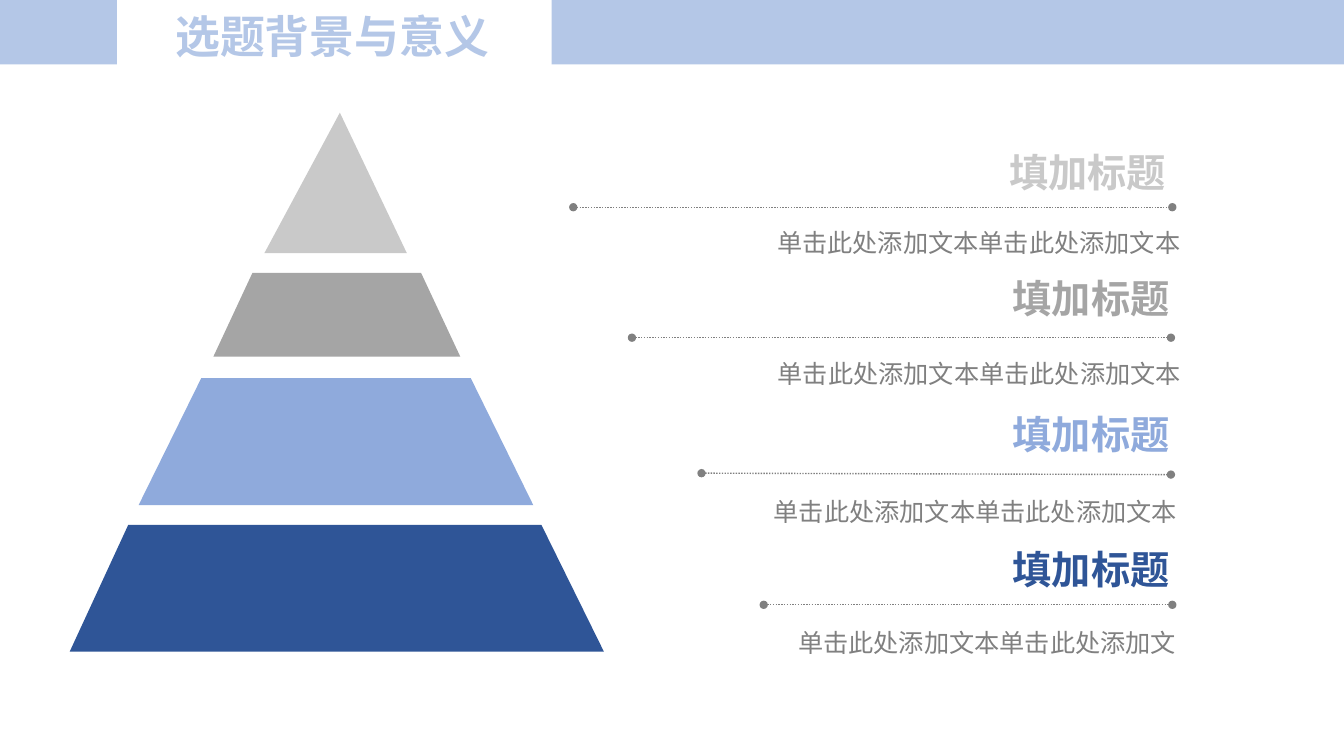
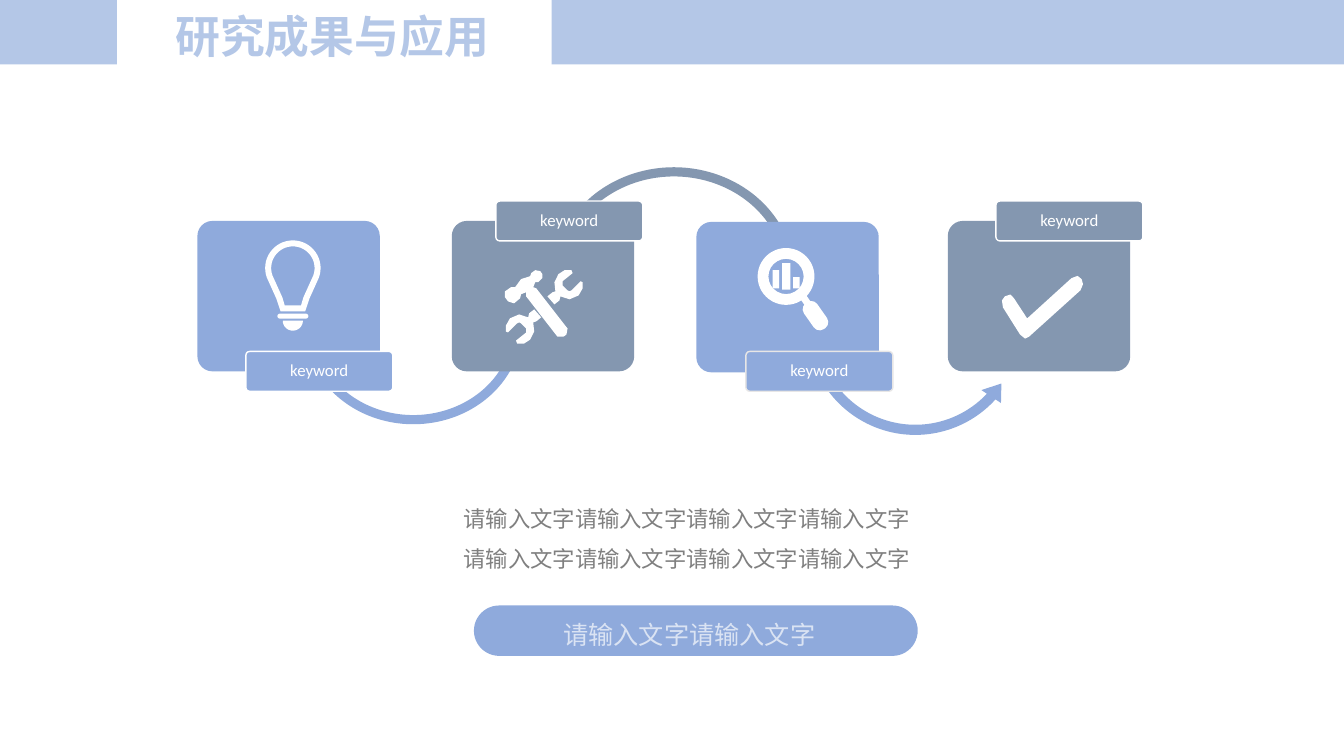
import math
from dataclasses import dataclass

from lxml import etree
from pptx import Presentation
from pptx import util as u
from pptx.dml.color import RGBColor
from pptx.enum import dml, shapes, text
from pptx.oxml import ns


@dataclass(frozen=True)
class Theme:
    # Colours
    band: str = "B4C7E7"
    sky: str = "8FAADC"
    navy: str = "2F5597"
    slate: str = "8497B0"
    silver: str = "C9C9C9"
    gray: str = "A5A5A5"
    body: str = "808080"
    pale: str = "DAE3F3"
    mist: str = "E7E6E6"
    white: str = "FFFFFF"
    # Type
    cjk: str = "Noto Sans CJK SC"
    latin: str = "Arial"
    tag_font: str = "Calibri"
    title_size: int = 32
    heading_size: int = 28
    body_size: int = 18
    note_size: int = 16
    tag_size: int = 12


THEME = Theme()
PRESET = shapes.MSO_SHAPE
CENTER = text.PP_ALIGN.CENTER
MIDDLE = text.MSO_ANCHOR.MIDDLE


def add_child(parent, tag, **attributes):
    return etree.SubElement(parent, ns.qn(tag), **attributes)


# Text
def write(box, lines, size, color, font=THEME.cjk, bold=False, spacing=1.0,
          align=text.PP_ALIGN.LEFT, anchor=text.MSO_ANCHOR.TOP):
    frame = box.text_frame
    frame.text = "\n".join(lines)
    frame.word_wrap = True
    frame.auto_size = text.MSO_AUTO_SIZE.NONE
    frame.vertical_anchor = anchor
    for para in frame.paragraphs:
        para.alignment = align
        para.line_spacing = spacing
        para.space_before = u.Pt(0)
        for span in para.runs:
            span.font.size = u.Pt(size)
            span.font.bold = bold
            span.font.color.rgb = RGBColor.from_string(color)
            span.font.name = font
    for properties in box.element.iter(ns.qn("a:rPr")):
        add_child(properties, "a:ea", typeface=font)


def add_text(page, area, lines, size, color, **style):
    box = page.shapes.add_textbox(*map(u.Pt, area))
    write(box, lines, size, color, **style)


# Shapes
def paint(shape, fill, line=None):
    shape.shadow.inherit = False
    shape.fill.solid()
    shape.fill.fore_color.rgb = RGBColor.from_string(fill)
    if line:
        shape.line.color.rgb = RGBColor.from_string(line)
        shape.line.width = u.Pt(1)
    else:
        shape.line.fill.background()


def add_preset(page, kind, area, fill, line=None, adjust=(), turn=0, flip=False):
    shape = page.shapes.add_shape(kind, *map(u.Pt, area))
    for index, value in enumerate(adjust):
        shape.adjustments[index] = value
    shape.rotation = turn
    if flip:
        shape.element.spPr.find(ns.qn("a:xfrm")).set("flipV", "1")
    paint(shape, fill, line)
    return shape


def add_outline(page, fill, *contours):
    contours = [[(u.Pt(x), u.Pt(y)) for x, y in points] for points in contours]
    builder = page.shapes.build_freeform(*contours[0][0])
    for index, points in enumerate(contours):
        if index:
            builder.move_to(*points[0])
        builder.add_line_segments(points[1:], close=True)
    paint(builder.convert_to_shape(), fill)


def add_dotted_line(page, start, end):
    line = page.shapes.add_connector(shapes.MSO_CONNECTOR.STRAIGHT,
                                     *map(u.Pt, (*start, *end)))
    line.line.color.rgb = RGBColor.from_string(THEME.body)
    line.line.width = u.Pt(1)
    line.line.dash_style = dml.MSO_LINE.ROUND_DOT
    stroke = line.element.spPr.find(ns.qn("a:ln"))
    for tag in ("a:headEnd", "a:tailEnd"):
        add_child(stroke, tag, type="oval")
    add_child(line.element.spPr, "a:effectLst")


def arc(center, radius, first, last, steps=32):
    angles = (math.radians(first + (last - first) * i / steps) for i in range(steps + 1))
    return [(center[0] + radius * math.cos(a), center[1] + radius * math.sin(a))
            for a in angles]


# Shared frame: bands on the layout, title on the page
def add_bands(page, layout):
    for index, (left, width) in enumerate([(0, 83.5), (394, 566)]):
        band = add_preset(page, PRESET.RECTANGLE, (left, 0, width, 46), THEME.band)
        band.element.nvSpPr.cNvPr.set("id", str(20 + index))
        layout.shapes.element.append(band.element)


def add_page(deck, layout, heading):
    page = deck.slides.add_slide(layout)
    title = page.shapes.title
    title.left, title.top, title.width, title.height = map(u.Pt, (81.4, 5, 311.8, 46))
    write(title, [heading], THEME.title_size, THEME.band, bold=True, spacing=0.9,
          align=CENTER, anchor=MIDDLE)
    return page


# Pyramid page
def add_pyramid(page):
    add_preset(page, PRESET.ISOSCELES_TRIANGLE, (188.9, 80.5, 101.7, 100.3),
               THEME.silver, adjust=[0.53])
    # Each tier: top, bottom, upper left and right, lower left and right
    tiers = [
        (195, 254.8, 180.3, 300.8, 152.4, 328.8, THEME.gray),
        (270, 360.8, 143.8, 336.2, 99, 380.9, THEME.sky),
        (375, 465.5, 91.6, 386.8, 49.8, 431.4, THEME.navy),
    ]
    for top, bottom, upper_left, upper_right, lower_left, lower_right, color in tiers:
        add_outline(page, color, [(upper_left, top), (upper_right, top),
                                  (lower_right, bottom), (lower_left, bottom)])


def add_entry(page, color, heading_at, body_area, body, start, end):
    add_dotted_line(page, start, end)
    add_text(page, (*heading_at, 139, 41), ["填加标题"], THEME.heading_size, color,
             bold=True)
    add_text(page, (*body_area, 36), [body], THEME.body_size, THEME.body, spacing=1.5)


def fill_pyramid_page(page):
    add_pyramid(page)
    body = "单击此处添加文本单击此处添加文本"
    entries = [
        (THEME.silver, (714, 102.2), (548, 148.3, 317), body, (409.5, 148), (837.4, 148)),
        (THEME.gray, (716.4, 192.5), (548.4, 241.5, 367), body, (451.4, 241.2), (836.4, 241.2)),
        (THEME.sky, (716.4, 289.3), (545.5, 340.5, 325), body, (501.1, 338), (836.4, 339)),
        (THEME.navy, (716.4, 386.2), (563, 433.5, 290), body[:-1], (545.5, 432), (837.4, 432)),
    ]
    for entry in entries:
        add_entry(page, *entry)


# Process page: icons
def add_bulb(page):
    center, white = (209.2, 191.5), THEME.white
    middle = center[0]
    glass = []
    for radius, half, neck in [(19.8, [(11.9, 213.1), (8.8, 222.4)], 160),
                               (15.5, [(7.5, 212.4), (5.8, 218.2)], 160)]:
        right = [(middle + dx, y) for dx, y in half]
        left = [(middle - dx, y) for dx, y in reversed(half)]
        glass.append(arc(center, radius, neck - 360, 180 - neck) + right + left)
    add_outline(page, white, *glass)
    add_preset(page, PRESET.ROUNDED_RECTANGLE, (middle - 11.1, 224, 22.2, 3.6), white,
               adjust=[0.5])
    add_outline(page, white, arc((middle, 229), 7.2, 0, 180))


def add_tools(page):
    wrench = [(416.2, 201.6), (414.7, 200.9), (408.2, 207.4), (406.8, 208.1),
              (405.4, 207.4), (401.8, 203.8), (401.8, 200.9), (409, 195.1),
              (408.2, 193), (403.2, 193), (398.9, 195.8), (396, 201.6),
              (396.7, 208.1), (394.6, 208.8), (391, 211.7), (396, 217.4),
              (399.6, 214.6), (400.3, 211.7), (406.8, 213.8), (413.3, 211),
              (416.2, 205.9)]
    hammer = [(383, 205.9), (380.9, 205.2), (382.3, 201.6), (384.5, 201.6),
              (387.4, 198.7), (387.4, 195.8), (385.9, 193.7), (382.3, 193),
              (379.4, 195.1), (378.7, 197.3), (372.2, 199.4), (367.9, 205.2),
              (365, 205.2), (360.7, 208.1), (360.7, 212.4), (362.9, 215.3),
              (367.2, 216.7), (371.5, 213.1), (372.2, 210.2), (375.8, 208.8),
              (375.8, 211.7), (398.2, 240.5), (402.5, 240.5), (404.6, 239),
              (405.4, 234.7)]
    pivot = (388.8, 219.2)
    opposite = [(2 * pivot[0] - x, 2 * pivot[1] - y) for x, y in wrench]
    for outline in (wrench, opposite, hammer):
        add_outline(page, THEME.white, outline)


def add_magnifier(page):
    add_preset(page, PRESET.DONUT, (541.2, 177.2, 40.6, 40.6), THEME.white, adjust=[0.19])
    for left, top, width, height in [(552, 193, 4.6, 13), (558.7, 187.9, 5.8, 19),
                                     (566.6, 198, 4.6, 8)]:
        add_preset(page, PRESET.RECTANGLE, (left, top, width, height), THEME.white)
    add_preset(page, PRESET.RECTANGLE, (571, 213, 10, 5), THEME.white, turn=55)
    add_preset(page, PRESET.ROUNDED_RECTANGLE, (571.2, 219.7, 22.6, 11.6), THEME.white,
               adjust=[0.45], turn=55)


def add_check(page):
    add_outline(page, THEME.white, [
        (728.6, 239), (716.4, 219.6), (715.7, 214.6), (717.8, 211.7), (721.8, 210.4),
        (724.3, 213.1), (733.7, 227.5), (765.4, 198.7), (769.7, 197.1), (772.6, 199.4),
        (773.6, 203), (771.8, 207.4), (735.1, 240.5), (732.2, 241.9)])


# Process page: cards and captions
def add_card(page, card_at, tag_at, color, border):
    add_preset(page, PRESET.ROUNDED_RECTANGLE, (*card_at, 130.3, 107.5), color,
               adjust=[0.1])
    tag = add_preset(page, PRESET.ROUNDED_RECTANGLE, (*tag_at, 105, 28.5), color,
                     line=border, adjust=[0.1])
    write(tag, ["keyword"], THEME.tag_size, THEME.white, font=THEME.tag_font,
          spacing=0.9, align=CENTER, anchor=MIDDLE)


def fill_process_page(page):
    bend = (0.044, 5.511, 25.593, 92.572, 0.051)
    over = (0.04, 4.955, 191.197, 123.663, 0.046)
    arrows = [
        (PRESET.CIRCULAR_ARROW, (213.1, 158.4, 164.2, 149), THEME.sky, bend, True),
        (PRESET.LEFT_CIRCULAR_ARROW, (391, 115.2, 180.7, 164.2), THEME.slate, over, True),
        (PRESET.LEFT_CIRCULAR_ARROW, (571.7, 151.2, 164.2, 164.2), THEME.sky, bend, False),
    ]
    for kind, area, color, adjust, flip in arrows:
        add_preset(page, kind, area, color, adjust=adjust, flip=flip)

    upper, lower = 143.6, 251
    cards = [
        ((141, 157.8), (175.6, lower), THEME.sky, THEME.white),
        ((322.7, 157.8), (354.2, upper), THEME.slate, THEME.white),
        ((497.4, 158.5), (532.8, lower), THEME.sky, THEME.mist),
        ((677, 157.8), (711.4, upper), THEME.slate, THEME.white),
    ]
    for card in cards:
        add_card(page, *card)
    for add_icon in (add_bulb, add_tools, add_magnifier, add_check):
        add_icon(page)

    phrase = "请输入文字"
    add_preset(page, PRESET.ROUNDED_RECTANGLE, (338.5, 432.5, 317, 36), THEME.sky,
               adjust=[0.5])
    add_text(page, (395.3, 427.7, 200, 40), [phrase * 2], THEME.body_size, THEME.pale,
             font=THEME.latin, spacing=1.5)
    add_text(page, (324, 347.8, 355, 72), [phrase * 4] * 2, THEME.note_size, THEME.body,
             font=THEME.latin, spacing=1.5)


def main():
    deck = Presentation()
    deck.slide_width, deck.slide_height = u.Pt(960), u.Pt(540)
    layout = deck.slide_layouts[5]
    pyramid_page = add_page(deck, layout, "选题背景与意义")
    add_bands(pyramid_page, layout)
    fill_pyramid_page(pyramid_page)
    fill_process_page(add_page(deck, layout, "研究成果与应用"))
    deck.save("out.pptx")


if __name__ == "__main__":
    main()
